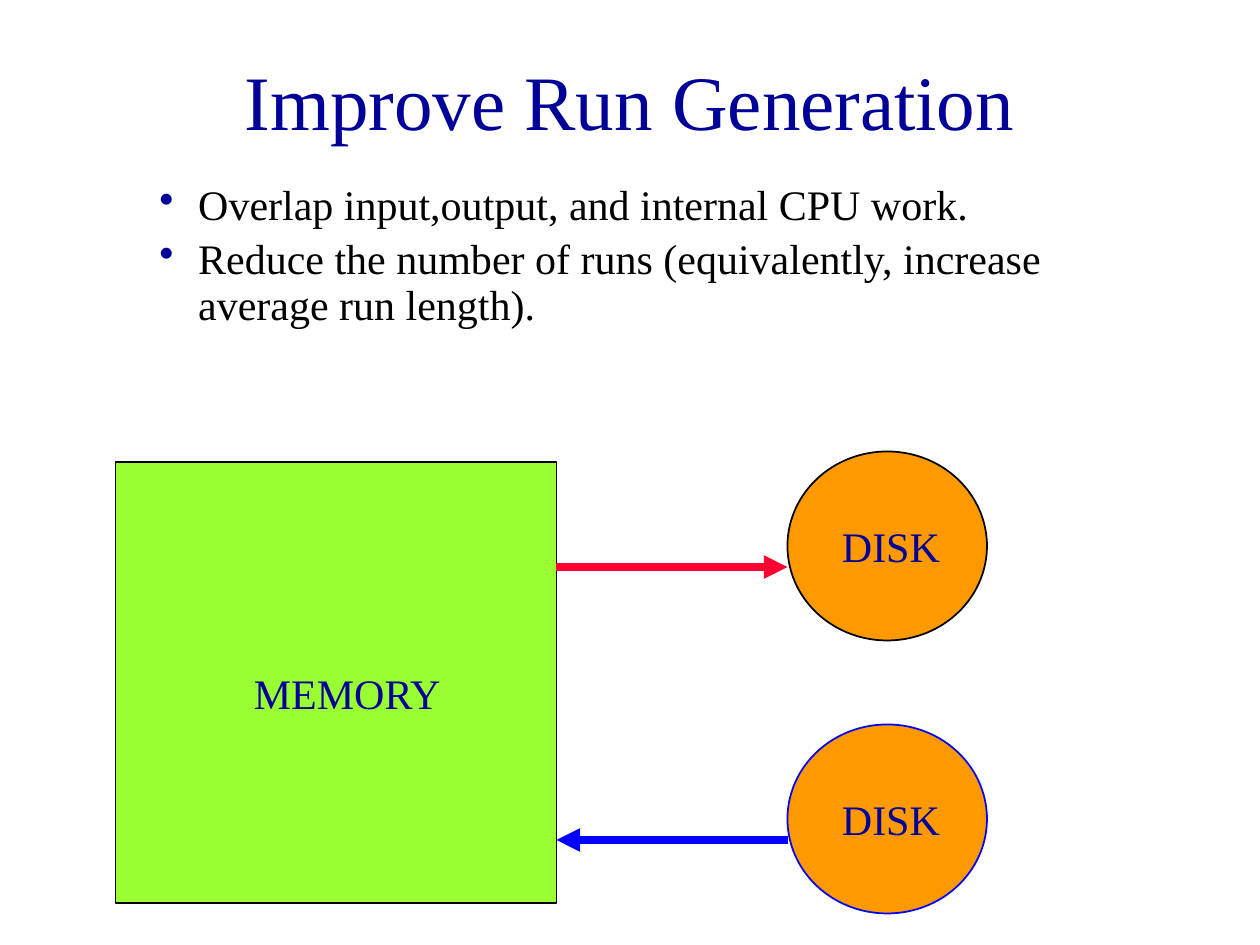
"""Build the "Improve Run Generation" slide: two bullets above a memory and disk diagram."""
from dataclasses import dataclass

from lxml import etree
from pptx import Presentation
from pptx.dml.color import RGBColor
from pptx.enum.shapes import MSO_CONNECTOR, MSO_SHAPE
from pptx.enum.text import MSO_ANCHOR, PP_ALIGN
from pptx.oxml.ns import qn
from pptx.util import Pt

RECTANGLE, ELLIPSE = MSO_SHAPE.RECTANGLE, MSO_SHAPE.OVAL
STRAIGHT = MSO_CONNECTOR.STRAIGHT
TOP, MIDDLE = MSO_ANCHOR.TOP, MSO_ANCHOR.MIDDLE
LEFT, CENTER = PP_ALIGN.LEFT, PP_ALIGN.CENTER
PX = 914400 // 120


@dataclass(frozen=True)
class Theme:
    font: str = "Times New Roman"
    navy: str = "000099"
    black: str = "000000"
    blue: str = "0000FF"
    red: str = "FF0033"
    green: str = "99FF33"
    orange: str = "FF9900"
    title_size: int = 44
    text_size: int = 24
    outline: float = 1
    arrow: float = 4.5


THEME = Theme()
SLIDE_SIZE = (1200, 900)
TITLE = ("Improve Run Generation", (90, 20, 1020, 150))
BULLETS = [
    "Overlap input,output, and internal CPU work.",
    "Reduce the number of runs (equivalently, increase average run length).",
]
BULLET_BOX = (80, 170, 1050, 140)
BULLET_INDENT, BULLET_HANG = 97, 37

MEMORY = ("MEMORY", (110, 440, 420, 420), (230, 630, 210, 60))
DISK_LABEL = "DISK"
DISK_LEFT, DISK_WIDTH, DISK_HEIGHT = 750, 190, 180
LABEL_SHIFT, LABEL_SIZE = (40, 60), (160, 60)
ARROW_DROP = 110
DISKS = [
    {"top": 690, "outline": THEME.blue, "arrow": THEME.blue, "end": "headEnd"},
    {"top": 430, "outline": THEME.black, "arrow": THEME.red, "end": "tailEnd"},
]


def emu(lengths):
    return [length * PX for length in lengths]


def color(value):
    return RGBColor.from_string(value)


def add_run(paragraph, text, size, ink):
    run = paragraph.add_run()
    run.text = text
    run.font.name = THEME.font
    run.font.size = Pt(size)
    run.font.color.rgb = color(ink)


def add_frame(slide, box, anchor=TOP):
    frame = slide.shapes.add_textbox(*emu(box)).text_frame
    frame.word_wrap = True
    frame.vertical_anchor = anchor
    return frame


def add_text(slide, text, box, size=THEME.text_size, anchor=TOP, alignment=LEFT):
    paragraph = add_frame(slide, box, anchor).paragraphs[0]
    paragraph.alignment = alignment
    add_run(paragraph, text, size, THEME.navy)


def add_bullets(slide):
    frame = add_frame(slide, BULLET_BOX)
    for index, text in enumerate(BULLETS):
        paragraph = frame.add_paragraph() if index else frame.paragraphs[0]
        paragraph.line_spacing = 0.9
        paragraph.space_before = Pt(THEME.text_size * 0.2)
        properties = paragraph._p.get_or_add_pPr()
        properties.set("marL", str(BULLET_INDENT * PX))
        properties.set("indent", str(-BULLET_HANG * PX))
        bullet_color = etree.SubElement(properties, qn("a:buClr"))
        etree.SubElement(bullet_color, qn("a:srgbClr"), val=THEME.navy)
        etree.SubElement(properties, qn("a:buChar"), char="•")
        add_run(paragraph, text, THEME.text_size, THEME.black)


def add_node(slide, kind, box, fill, outline):
    shape = slide.shapes.add_shape(kind, *emu(box))
    shape.shadow.inherit = False
    shape.fill.solid()
    shape.fill.fore_color.rgb = color(fill)
    shape.line.color.rgb = color(outline)
    shape.line.width = Pt(THEME.outline)


def add_arrow(slide, start, stop, y, ink, end):
    connector = slide.shapes.add_connector(STRAIGHT, *emu((start, y, stop, y)))
    connector.line.color.rgb = color(ink)
    connector.line.width = Pt(THEME.arrow)
    etree.SubElement(connector.line._get_or_add_ln(), qn(f"a:{end}"), type="triangle")
    etree.SubElement(connector._element.spPr, qn("a:effectLst"))


def add_diagram(slide):
    label, box, label_box = MEMORY
    add_node(slide, RECTANGLE, box, THEME.green, THEME.black)
    add_text(slide, label, label_box)
    memory_right = box[0] + box[2]
    for disk in DISKS:
        top = disk["top"]
        disk_box = (DISK_LEFT, top, DISK_WIDTH, DISK_HEIGHT)
        add_node(slide, ELLIPSE, disk_box, THEME.orange, disk["outline"])
        corner = (DISK_LEFT + LABEL_SHIFT[0], top + LABEL_SHIFT[1])
        add_text(slide, DISK_LABEL, corner + LABEL_SIZE)
        add_arrow(slide, memory_right, DISK_LEFT, top + ARROW_DROP, disk["arrow"], disk["end"])


def main():
    presentation = Presentation()
    presentation.slide_width, presentation.slide_height = emu(SLIDE_SIZE)
    slide = presentation.slides.add_slide(presentation.slide_layouts[6])
    add_text(slide, *TITLE, THEME.title_size, MIDDLE, CENTER)
    add_bullets(slide)
    add_diagram(slide)
    presentation.save("out.pptx")


if __name__ == "__main__":
    main()
